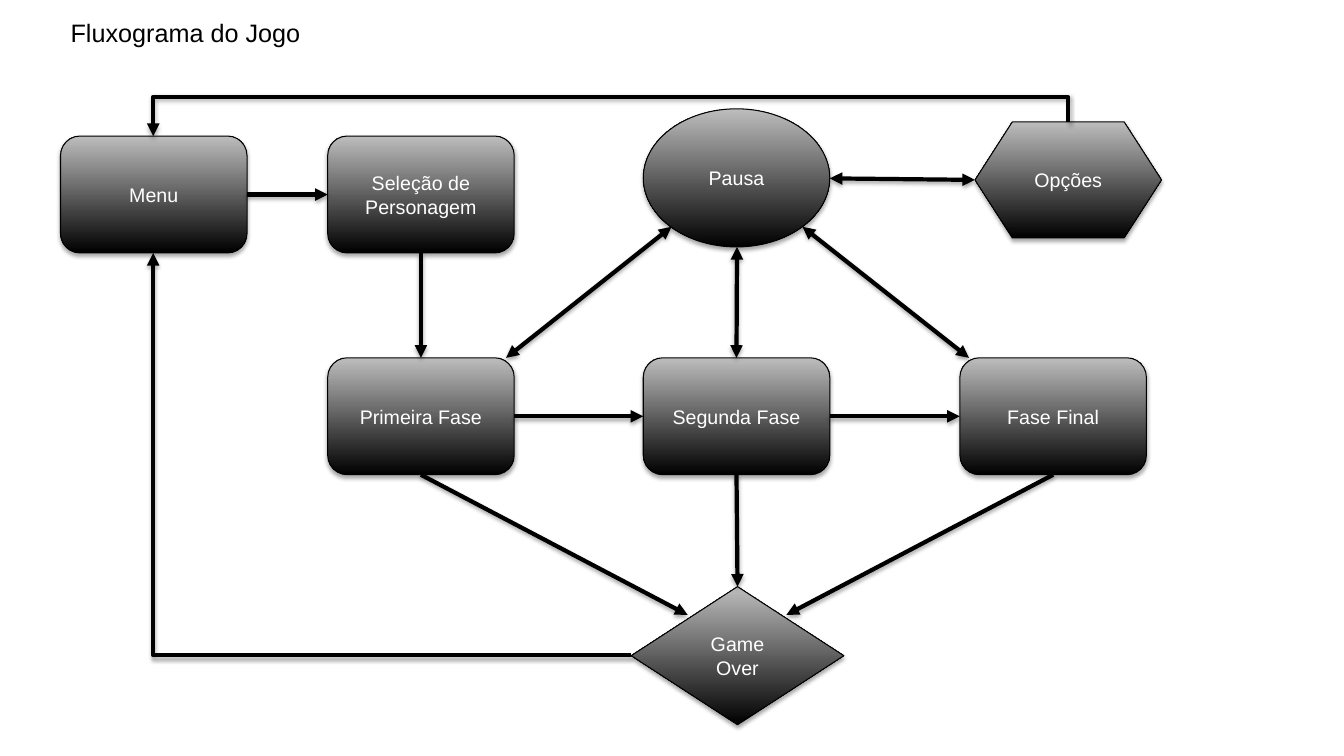
from dataclasses import dataclass

from lxml.etree import SubElement
from pptx import Presentation
from pptx.dml.color import RGBColor
from pptx.enum.shapes import MSO_CONNECTOR, MSO_SHAPE
from pptx.enum.text import MSO_ANCHOR, MSO_AUTO_SIZE, PP_ALIGN
from pptx.oxml.ns import qn
from pptx.util import Inches, Pt

TOP, LEFT, BOTTOM, RIGHT = range(4)


@dataclass(frozen=True)
class Theme:
    font: str = "Arial"
    ink: str = "000000"
    light: str = "BDBDBD"
    label: str = "FFFFFF"
    title_size: float = 18
    label_size: float = 14
    outline: float = 0.75
    arrow: float = 3
    shadow_alpha: int = 35
    shadow_blur: float = 3.1
    shadow_offset: float = 1.8


class FlowSlide:
    def __init__(self, prs, theme):
        self.theme = theme
        self.s = prs.slides.add_slide(prs.slide_layouts[5])

    def add_text(self, sp, text, size, color, align, anchor):
        tf = sp.text_frame
        tf.word_wrap = True
        tf.auto_size = MSO_AUTO_SIZE.NONE
        tf.vertical_anchor = anchor
        p = tf.paragraphs[0]
        p.alignment = align
        r = p.add_run()
        r.text = text
        r.font.name = self.theme.font
        r.font.size = Pt(size)
        r.font.color.rgb = RGBColor.from_string(color)

    def shadow(self, effects):
        t = self.theme
        shadow = SubElement(effects, qn("a:outerShdw"), blurRad=str(Pt(t.shadow_blur)),
                            dist=str(Pt(t.shadow_offset)), dir="5400000", rotWithShape="0")
        color = SubElement(shadow, qn("a:srgbClr"), val=t.ink)
        SubElement(color, qn("a:alpha"), val=str(t.shadow_alpha * 1000))

    def title(self, text, x, y, w, h):
        sp = self.s.shapes.title
        sp.left, sp.top, sp.width, sp.height = map(Inches, (x, y, w, h))
        self.add_text(sp, text, self.theme.title_size, self.theme.ink, PP_ALIGN.LEFT, MSO_ANCHOR.TOP)

    def node(self, text, x, y, w=1.85, h=1.16, kind=MSO_SHAPE.FLOWCHART_ALTERNATE_PROCESS):
        t = self.theme
        sp = self.s.shapes.add_shape(kind, *map(Inches, (x, y, w, h)))
        sp.fill.gradient()
        sp.fill.gradient_angle = 90
        for stop, color in zip(sp.fill.gradient_stops, (t.ink, t.light)):
            stop.color.rgb = RGBColor.from_string(color)
        sp.line.color.rgb = RGBColor.from_string(t.ink)
        sp.line.width = Pt(t.outline)
        sp.shadow.inherit = False
        self.shadow(sp._element.spPr.find(qn("a:effectLst")))
        self.add_text(sp, text, t.label_size, t.label, PP_ALIGN.CENTER, MSO_ANCHOR.MIDDLE)
        return sp

    def connector(self, kind, start, end, both=False):
        cxn = self.s.shapes.add_connector(kind, *map(Inches, start + end))
        cxn.line.color.rgb = RGBColor.from_string(self.theme.ink)
        cxn.line.width = Pt(self.theme.arrow)
        ln = cxn._element.spPr.find(qn("a:ln"))
        if both:
            SubElement(ln, qn("a:headEnd"), type="triangle")
        SubElement(ln, qn("a:tailEnd"), type="triangle")
        self.shadow(SubElement(cxn._element.spPr, qn("a:effectLst")))
        return cxn

    def arrow(self, start, end, both=False, source=None, target=None):
        cxn = self.connector(MSO_CONNECTOR.STRAIGHT, start, end, both)
        if source:
            cxn.begin_connect(*source)
        if target:
            cxn.end_connect(*target)

    def corner(self, start, end):
        cxn = self.connector(MSO_CONNECTOR.ELBOW, start, end)
        cxn._element.spPr.find(qn("a:prstGeom")).set("prst", "bentConnector2")

    def overpass(self, start, end, y):
        cxn = self.connector(MSO_CONNECTOR.ELBOW, start, end)
        span, drop = start[0] - end[0], end[1] - start[1]
        cxn.left = Inches((start[0] + end[0] - drop) / 2)
        cxn.top = Inches((start[1] + end[1] - span) / 2)
        cxn.width, cxn.height = Inches(drop), Inches(span)
        xfrm = cxn._element.spPr.find(qn("a:xfrm"))
        xfrm.attrib.pop("flipH", None)
        xfrm.set("rot", "5400000")
        geom = cxn._element.spPr.find(qn("a:prstGeom"))
        bend = round((y - start[1]) / drop * 100000)
        SubElement(geom.find(qn("a:avLst")), qn("a:gd"), name="adj1", fmla=f"val {bend}")


def main():
    prs = Presentation()
    prs.slide_width, prs.slide_height = Inches(13.33), Inches(7.5)
    flow = FlowSlide(prs, Theme())
    flow.title("Fluxograma do Jogo", 0.6, 0.12, 4.5, 0.38)

    menu = flow.node("Menu", 0.6, 1.35)
    selection = flow.node("Seleção de Personagem", 3.25, 1.35)
    first, second, final = [
        flow.node(text, x, 3.55)
        for text, x in (("Primeira Fase", 3.25), ("Segunda Fase", 6.38), ("Fase Final", 9.52))
    ]
    game_over = flow.node("Game Over", 6.26, 5.82, 2.11, 1.37, MSO_SHAPE.FLOWCHART_DECISION)
    flow.node("Pausa", 6.38, 1.08, h=1.37, kind=MSO_SHAPE.FLOWCHART_CONNECTOR)
    options = flow.node("Opções", 9.67, 1.21, h=1.15, kind=MSO_SHAPE.FLOWCHART_PREPARATION)

    flow.arrow((2.45, 1.93), (3.25, 1.93), source=(menu, RIGHT), target=(selection, LEFT))
    flow.arrow((4.18, 2.51), (4.18, 3.55), source=(selection, BOTTOM), target=(first, TOP))
    flow.arrow((5.1, 4.13), (6.38, 4.13), source=(first, RIGHT), target=(second, LEFT))
    flow.arrow((8.23, 4.13), (9.52, 4.13), source=(second, RIGHT), target=(final, LEFT))

    flow.arrow((4.18, 4.71), (6.82, 6.1), source=(first, BOTTOM))
    flow.arrow((7.31, 4.71), (7.31, 5.82), source=(second, BOTTOM), target=(game_over, TOP))
    flow.arrow((10.44, 4.71), (7.8, 6.1), source=(final, BOTTOM))

    flow.arrow((5.02, 3.55), (6.66, 2.25), both=True)
    flow.arrow((7.31, 3.55), (7.31, 2.45), both=True, source=(second, TOP))
    flow.arrow((9.61, 3.55), (7.96, 2.25), both=True)
    flow.arrow((8.23, 1.77), (9.67, 1.79), both=True, target=(options, LEFT))

    flow.corner((6.26, 6.5), (1.52, 2.51))
    flow.overpass((10.59, 1.21), (1.52, 1.35), 0.96)
    prs.save("out.pptx")


if __name__ == "__main__":
    main()
